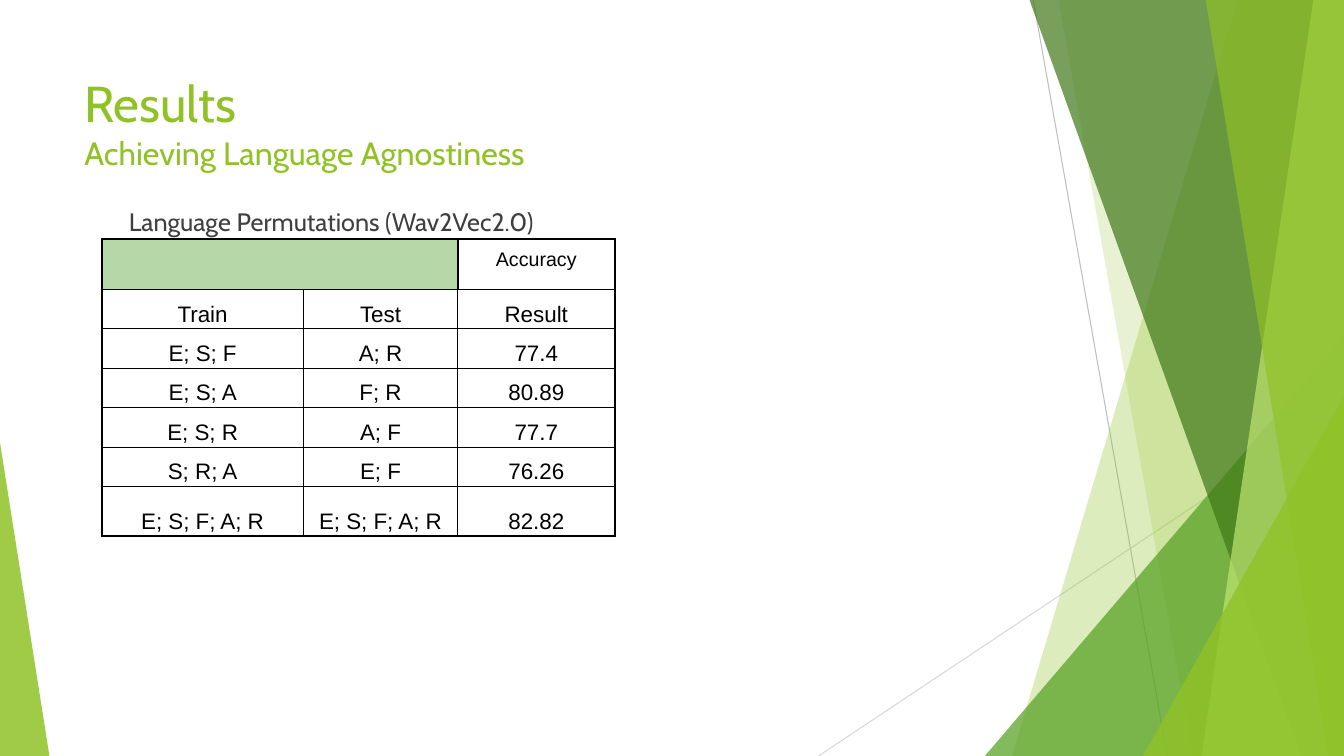
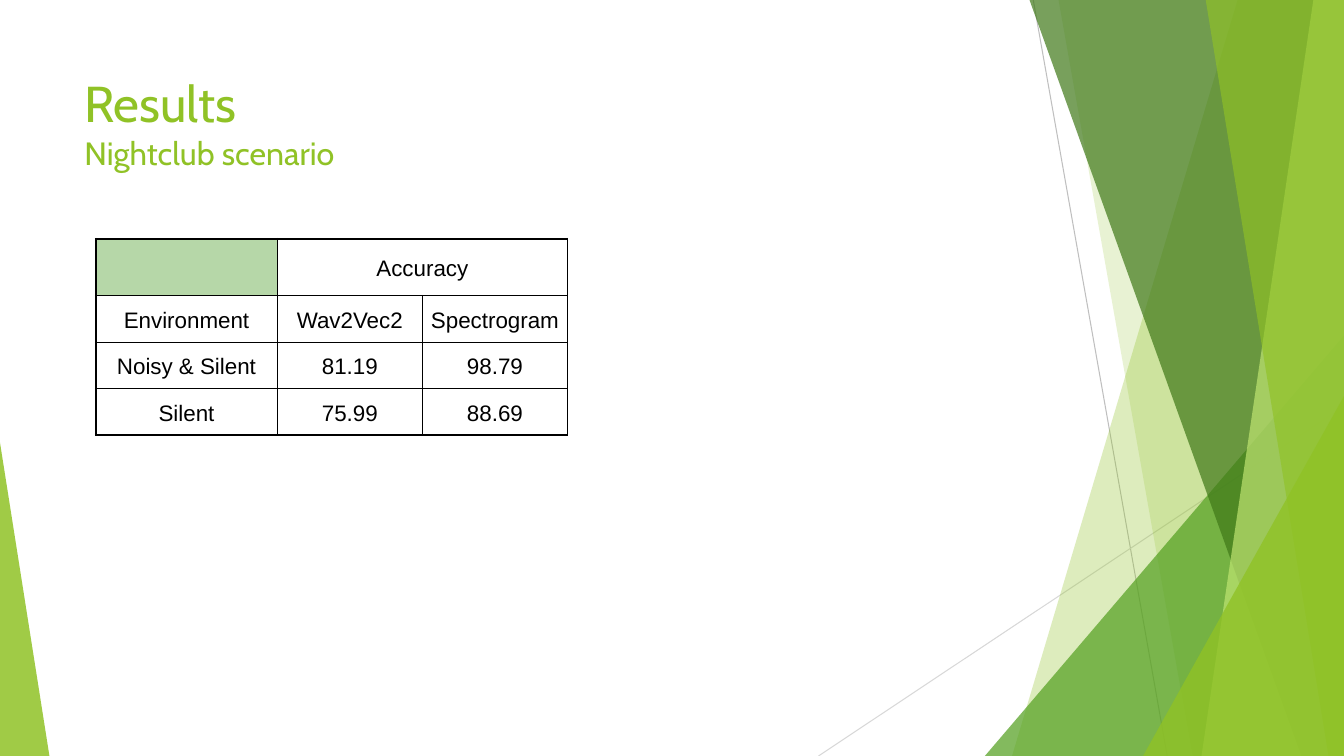
from dataclasses import dataclass
from typing import NamedTuple

from lxml.etree import SubElement
from pptx import Presentation
from pptx.dml.color import RGBColor
from pptx.enum.shapes import MSO_CONNECTOR, MSO_SHAPE
from pptx.enum.text import MSO_ANCHOR, PP_ALIGN
from pptx.oxml.ns import qn
from pptx.util import Emu, Inches, Pt

WIDTH, HEIGHT = Inches(13.33), Inches(7.5)
COLORS = {
    "lime": "90C226", "green": "54A021", "forest": "3F7818", "pale": "BFE471",
    "silver": "BFBFBF", "mist": "D8D8D8", "sage": "B6D7A8",
    "ink": "000000", "slate": "3F3F3F",
}
TITLE_FONT, TABLE_FONT = "Cabin", "Arial"
OUTER, INNER = 1.5, 0.75


def across(percent: float) -> Emu:
    return Emu(round(WIDTH * percent / 100))


def down(percent: float) -> Emu:
    return Emu(round(HEIGHT * percent / 100))


def color(name: str) -> RGBColor:
    return RGBColor.from_string(COLORS[name])


class Ray(NamedTuple):
    start: tuple[float, float]
    end: tuple[float, float]
    tone: str


class Band(NamedTuple):
    top_x: float
    bottom_x: float
    tone: str
    opacity: int


class Wedge(NamedTuple):
    left: float
    top: float
    width: float
    apex: float
    tone: str
    opacity: int


class Line(NamedTuple):
    text: str
    size: int


class CellStyle(NamedTuple):
    size: int
    anchor: MSO_ANCHOR
    side_inset: float
    end_inset: float
    spacing: float


@dataclass(frozen=True)
class Sheet:
    left: float
    columns: tuple[float, ...]
    rows: tuple[float, ...]
    texts: tuple[tuple[str, ...], ...]
    span: tuple[int, int]
    divider: float
    header: CellStyle
    body: CellStyle


@dataclass(frozen=True)
class Result:
    subtitle: str
    sheet: Sheet
    caption: str = ""


RAYS = (
    Ray((76.88, 0), (86.85, 100), "silver"),
    Ray((100, 53.73), (60.9, 100), "mist"),
)
FACETS = (
    Band(92.1, 75.3, "lime", 30),
    Band(78.75, 88.73, "lime", 20),
    Wedge(73.28, 44.4, 26.72, 1, "green", 72),
    Band(76.58, 96.83, "forest", 70),
    Band(97.73, 89.4, "pale", 70),
    Band(89.7, 98.85, "lime", 65),
    Wedge(85.05, 52.4, 14.95, 1, "lime", 80),
    Wedge(0, 58.53, 3.68, 0, "lime", 85),
)
BOTTOM = CellStyle(16, MSO_ANCHOR.BOTTOM, 0.03, 0.02, 1.15)
MIDDLE = CellStyle(16, MSO_ANCHOR.MIDDLE, 0.03, 0.02, 1.15)
SMALL_TOP = CellStyle(14, MSO_ANCHOR.TOP, 0.1, 0.1, 1.0)

RESULTS = (
    Result(
        "Achieving Language Agnostiness",
        Sheet(
            7.58, (15, 11.48, 11.7), (6.27, *[5.22] * 5, 6.53),
            (
                ("", "", "Accuracy"),
                ("Train", "Test", "Result"),
                ("E; S; F", "A; R", "77.4"),
                ("E; S; A", "F; R", "80.89"),
                ("E; S; R", "A; F", "77.7"),
                ("S; R; A", "E; F", "76.26"),
                ("E; S; F; A; R", "E; S; F; A; R", "82.82"),
            ),
            (0, 1), OUTER, SMALL_TOP, BOTTOM,
        ),
        "Language Permutations (Wav2Vec2.0)",
    ),
    Result(
        "Nightclub scenario",
        Sheet(
            7.13, (13.5, 10.8, 10.8), (7.47, *[6.17] * 3),
            (
                ("", "Accuracy", ""),
                ("Environment", "Wav2Vec2", "Spectrogram"),
                ("Noisy & Silent", "81.19", "98.79"),
                ("Silent", "75.99", "88.69"),
            ),
            (1, 2), INNER, MIDDLE, MIDDLE,
        ),
    ),
)


def add_ray(page, ray: Ray) -> None:
    line = page.shapes.add_connector(
        MSO_CONNECTOR.STRAIGHT,
        across(ray.start[0]), down(ray.start[1]), across(ray.end[0]), down(ray.end[1]),
    )
    line.line.color.rgb = color(ray.tone)
    line.line.width = Pt(INNER)
    SubElement(line._element.spPr, qn("a:effectLst"))


def add_facet(page, facet: Band | Wedge) -> None:
    if isinstance(facet, Band):
        top = down(-0.11)
        outline = page.shapes.build_freeform(across(facet.top_x), top)
        outline.add_line_segments(
            [(WIDTH, top), (WIDTH, HEIGHT), (across(facet.bottom_x), HEIGHT)]
        )
        shape = outline.convert_to_shape()
    else:
        shape = page.shapes.add_shape(
            MSO_SHAPE.ISOSCELES_TRIANGLE, across(facet.left), down(facet.top),
            across(facet.width), down(100 - facet.top),
        )
        shape.adjustments[0] = facet.apex
    shape.shadow.inherit = False
    shape.line.fill.background()
    shape.fill.solid()
    shape.fill.fore_color.rgb = color(facet.tone)
    tone = shape._element.spPr.find(f"{qn('a:solidFill')}/{qn('a:srgbClr')}")
    SubElement(tone, qn("a:alpha"), val=str(facet.opacity * 1000))


def add_span(para, text: str, size: int, font: str, tone: str) -> None:
    span = para.add_run()
    span.text = text
    span.font.size = Pt(size)
    span.font.name = font
    span.font.color.rgb = color(tone)


def add_text(page, left: float, top: float, width: float, height: float,
             lines: tuple[Line, ...], tone: str, top_inset: float = 0.05) -> None:
    box = page.shapes.add_textbox(across(left), down(top), across(width), down(height))
    frame = box.text_frame
    frame.word_wrap = True
    frame.margin_top = Inches(top_inset)
    for index, line in enumerate(lines):
        para = frame.add_paragraph() if index else frame.paragraphs[0]
        add_span(para, line.text, line.size, TITLE_FONT, tone)


def add_border(cell, side: str, width: float) -> None:
    line = SubElement(cell._tc.get_or_add_tcPr(), qn(f"a:ln{side}"), w=str(Pt(width)))
    fill = SubElement(line, qn("a:solidFill"))
    SubElement(fill, qn("a:srgbClr"), val=COLORS["ink"])


def style_cell(cell, sheet: Sheet, row: int, column: int) -> None:
    style = sheet.body if row else sheet.header
    first = last = column
    if row == 0 and column in sheet.span:
        first, last = sheet.span
    inner = INNER if row else sheet.divider
    add_border(cell, "L", OUTER if first == 0 else inner)
    add_border(cell, "R", OUTER if last == len(sheet.columns) - 1 else inner)
    add_border(cell, "T", OUTER if row == 0 else INNER)
    add_border(cell, "B", OUTER if row == len(sheet.rows) - 1 else INNER)
    if row == 0 and first == 0:
        cell.fill.solid()
        cell.fill.fore_color.rgb = color("sage")
    else:
        cell.fill.background()
    cell.vertical_anchor = style.anchor
    cell.margin_left = cell.margin_right = Inches(style.side_inset)
    cell.margin_top = cell.margin_bottom = Inches(style.end_inset)
    text = sheet.texts[row][column]
    if text:
        para = cell.text_frame.paragraphs[0]
        para.alignment = PP_ALIGN.CENTER
        para.line_spacing = style.spacing
        add_span(para, text, style.size, TABLE_FONT, "ink")


def add_sheet(page, sheet: Sheet) -> None:
    table = page.shapes.add_table(
        len(sheet.rows), len(sheet.columns), across(sheet.left), down(31.6),
        across(sum(sheet.columns)), down(sum(sheet.rows)),
    ).table
    table.first_row = table.horz_banding = False
    for column, width in enumerate(sheet.columns):
        table.columns[column].width = across(width)
    for row, height in enumerate(sheet.rows):
        table.rows[row].height = down(height)
        for column in range(len(sheet.columns)):
            style_cell(table.cell(row, column), sheet, row, column)
    first, last = sheet.span
    table.cell(0, first).merge(table.cell(0, last))


def add_result(deck, result: Result) -> None:
    page = deck.slides.add_slide(deck.slide_layouts[6])
    for ray in RAYS:
        add_ray(page, ray)
    for facet in FACETS:
        add_facet(page, facet)
    title = (Line("Results", 36), Line(result.subtitle, 23))
    add_text(page, 5.55, 8.93, 70.5, 19.2, title, "lime")
    add_sheet(page, result.sheet)
    if result.caption:
        caption = (Line(result.caption, 18),)
        add_text(page, 8.85, 22.67, 37.43, 11.07, caption, "slate", top_inset=0.35)


def main() -> None:
    deck = Presentation()
    deck.slide_width, deck.slide_height = WIDTH, HEIGHT
    for result in RESULTS:
        add_result(deck, result)
    deck.save("out.pptx")


main()
